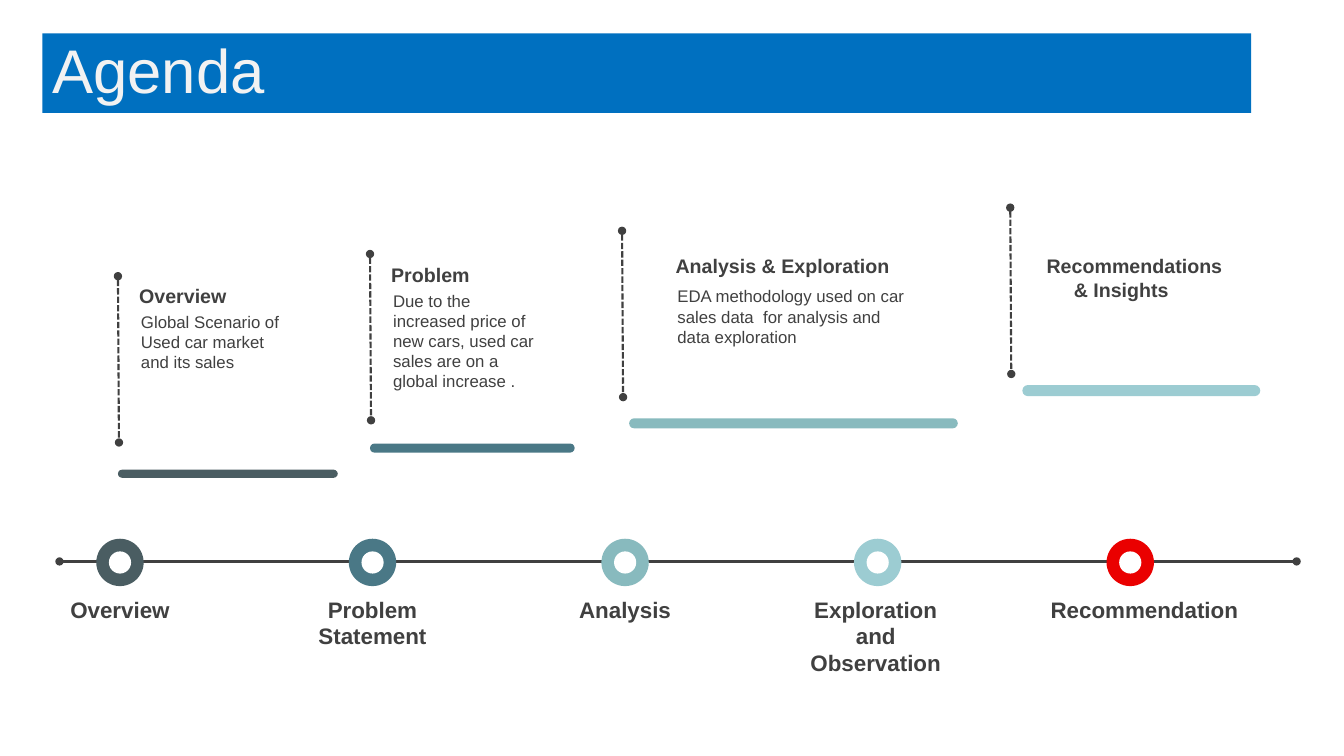
from dataclasses import dataclass

from lxml.etree import SubElement
from pptx import Presentation
from pptx.dml.color import RGBColor
from pptx.enum.dml import MSO_LINE
from pptx.enum.shapes import MSO_CONNECTOR, MSO_SHAPE
from pptx.enum.text import MSO_ANCHOR, PP_ALIGN
from pptx.oxml.ns import qn
from pptx.util import Inches, Pt

FONT = "Arial"
DARK = "404040"
WHITE = "FFFFFF"
SLATE, TEAL, SEA, MIST, RED = "4A5D62", "4A7886", "88BABE", "9CCCD2", "EA0000"


@dataclass
class Card:
    """One agenda card: box, colour, wording and the offsets of its parts."""
    box: tuple
    color: str
    heading: str
    body: str
    heading_at: tuple
    heading_size: tuple
    body_drop: float
    body_size: tuple
    bar_at: tuple
    bar_size: tuple
    hang: float = 0


CARDS = [
    Card((1.17, 2.74), SLATE, "Overview",
         "Global Scenario of Used car market and its sales",
         (0.09, 0.03), (1.73, 0.34), 0.27, (1.72, 0.71), (0, 1.92), (2.18, 0.08)),
    Card((3.67, 2.52), TEAL, "Problem",
         "Due to the increased price of new cars, used car sales are on a global increase .",
         (0.09, 0.04), (1.73, 0.34), 0.27, (1.72, 1.11), (0, 1.88), (2.03, 0.09)),
    Card((6.17, 2.29), SEA, "Analysis & Exploration",
         "EDA methodology used on car sales data  for analysis and data exploration",
         (0.41, 0.18), (2.55, 0.34), 0.32, (2.52, 0.91), (0.07, 1.86), (3.26, 0.1)),
    Card((10.02, 2.06), MIST, "Recommendations & Insights", "",
         (0.24, 0.41), (2.11, 0.57), 0, (0, 0), (0.12, 1.76), (2.36, 0.11), hang=0.27),
]

MILESTONES = [
    ("Overview", SLATE, 1.2, 0.27, 0),
    ("Problem Statement", TEAL, 1.2, 0.54, 0),
    ("Analysis", SEA, 1.2, 0.27, 0),
    ("Exploration and Observation", MIST, 1.38, 0.81, -0.02),
    ("Recommendation", RED, 1.87, 0.27, 0.14),
]


def rgb(color):
    """Turn a hex string into a colour."""
    return RGBColor.from_string(color)


def write(frame, text, size, color=DARK, bold=False, align=PP_ALIGN.LEFT,
          anchor=MSO_ANCHOR.TOP, inset=(0.1, 0.05), hang=0):
    """Fill a text frame with one formatted paragraph."""
    frame.word_wrap = True
    frame.vertical_anchor = anchor
    frame.margin_left = frame.margin_right = Inches(inset[0])
    frame.margin_top = frame.margin_bottom = Inches(inset[1])
    para = frame.paragraphs[0]
    para.alignment = align
    if hang:
        props = para._p.get_or_add_pPr()
        props.set("marL", str(Inches(hang)))
        props.set("indent", str(-Inches(hang)))
    span = para.add_run()
    span.text = text
    span.font.name = FONT
    span.font.size = Pt(size)
    span.font.bold = bold
    span.font.color.rgb = rgb(color)
    return para


def add_text(page, box, text, size, **style):
    """Place a text box at the given box."""
    label = page.shapes.add_textbox(*map(Inches, box))
    write(label.text_frame, text, size, **style)


def add_solid(page, kind, box, color):
    """Place a flat filled shape without outline."""
    shape = page.shapes.add_shape(kind, *map(Inches, box))
    shape.shadow.inherit = False
    shape.fill.solid()
    shape.fill.fore_color.rgb = rgb(color)
    shape.line.fill.background()
    return shape


def add_dotted_ends(page, start, end, width, dash=None):
    """Draw a line with a round dot at each end."""
    line = page.shapes.add_connector(MSO_CONNECTOR.STRAIGHT, *map(Inches, start + end))
    line.line.color.rgb = rgb(DARK)
    line.line.width = Pt(width)
    if dash:
        line.line.dash_style = dash
    props = line._element.spPr
    for tag in ("a:headEnd", "a:tailEnd"):
        SubElement(props.find(qn("a:ln")), qn(tag), type="oval")
    SubElement(props, qn("a:effectLst"))


def add_banner(page, box):
    """Turn the title placeholder into the blue banner."""
    title = page.shapes.title
    title.left, title.top, title.width, title.height = map(Inches, box)
    title.fill.solid()
    title.fill.fore_color.rgb = rgb("0070C0")
    para = write(title.text_frame, "Agenda", 44, color="F2F2F2", anchor=MSO_ANCHOR.MIDDLE)
    para.line_spacing = 0.9
    para.space_before = Pt(0)


def add_timeline(page, left, middle, width):
    """Draw the axis with its evenly spaced rings and labels."""
    add_dotted_ends(page, (left, middle), (left + width, middle), 1.75)
    for index, (text, color, wide, high, shift) in enumerate(MILESTONES):
        center = left + 0.6 + index * 2.505
        for diameter, fill in ((0.47, color), (0.22, WHITE)):
            add_solid(page, MSO_SHAPE.OVAL,
                      (center - diameter / 2, middle + 0.01 - diameter / 2, diameter, diameter),
                      fill)
        add_text(page, (center + shift - wide / 2, middle + 0.34, wide, high), text, 16,
                 bold=True, align=PP_ALIGN.CENTER, inset=(0, 0))


def add_card(page, card):
    """Draw a card with its dashed line, bar, heading and body."""
    left, top = card.box
    add_dotted_ends(page, (left, top), (left + 0.01, top + 1.65), 1.5, MSO_LINE.SQUARE_DOT)
    bar = add_solid(page, MSO_SHAPE.ROUNDED_RECTANGLE,
                    (left + card.bar_at[0], top + card.bar_at[1], *card.bar_size), card.color)
    bar.adjustments[0] = 0.5
    heading_left, heading_top = left + card.heading_at[0], top + card.heading_at[1]
    add_text(page, (heading_left, heading_top, *card.heading_size), card.heading, 14,
             bold=True, inset=(0.12, 0.05), hang=card.hang)
    if card.body:
        add_text(page, (heading_left + 0.04, heading_top + card.body_drop, *card.body_size),
                 card.body, 12)


def main():
    """Build the agenda slide and save it."""
    deck = Presentation()
    deck.slide_width, deck.slide_height = Inches(13.33), Inches(7.5)
    page = deck.slides.add_slide(deck.slide_layouts[5])
    add_banner(page, (0.42, 0.33, 11.99, 0.79))
    add_timeline(page, 0.59, 5.57, 12.27)
    for card in CARDS:
        add_card(page, card)
    deck.save("out.pptx")


if __name__ == "__main__":
    main()
